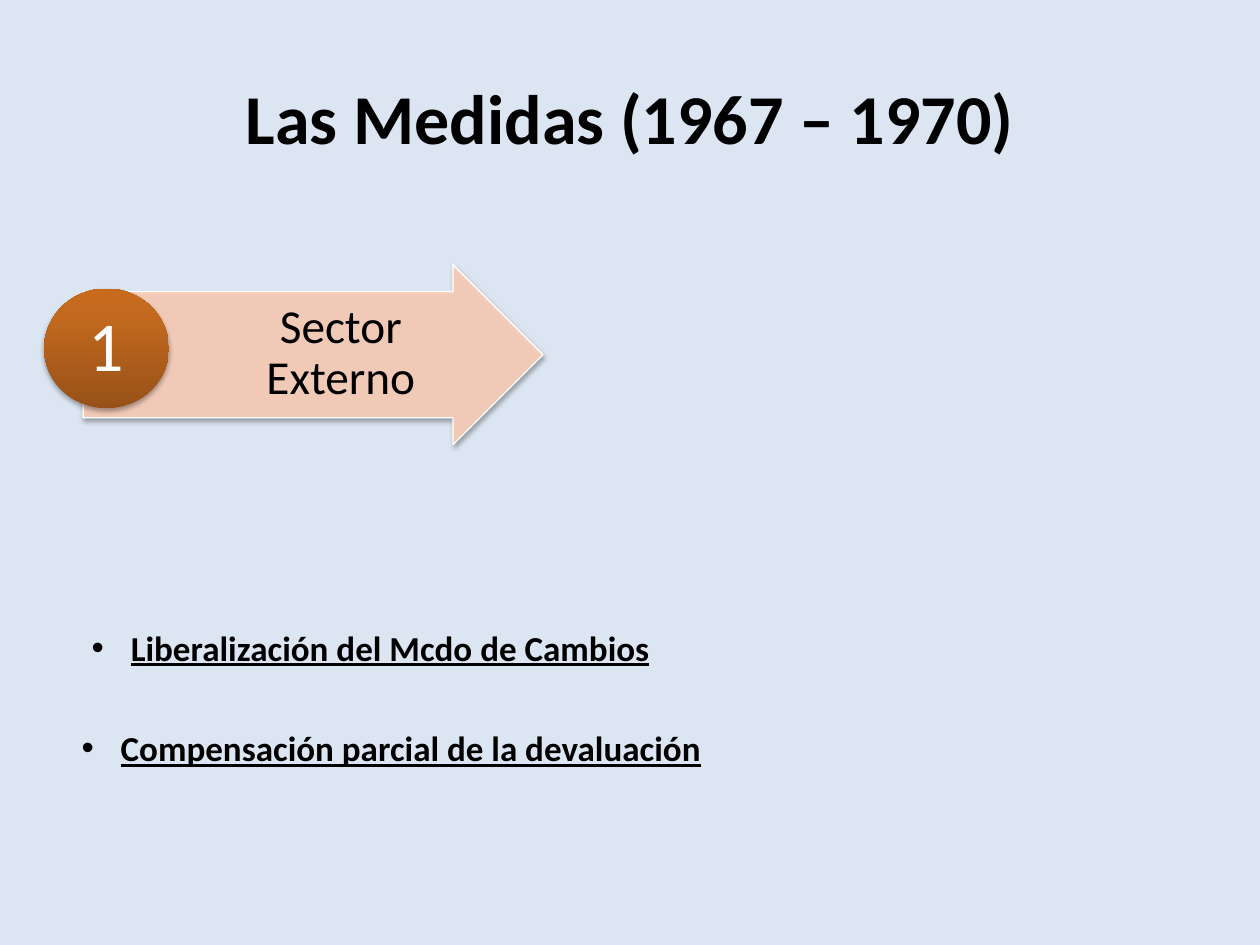
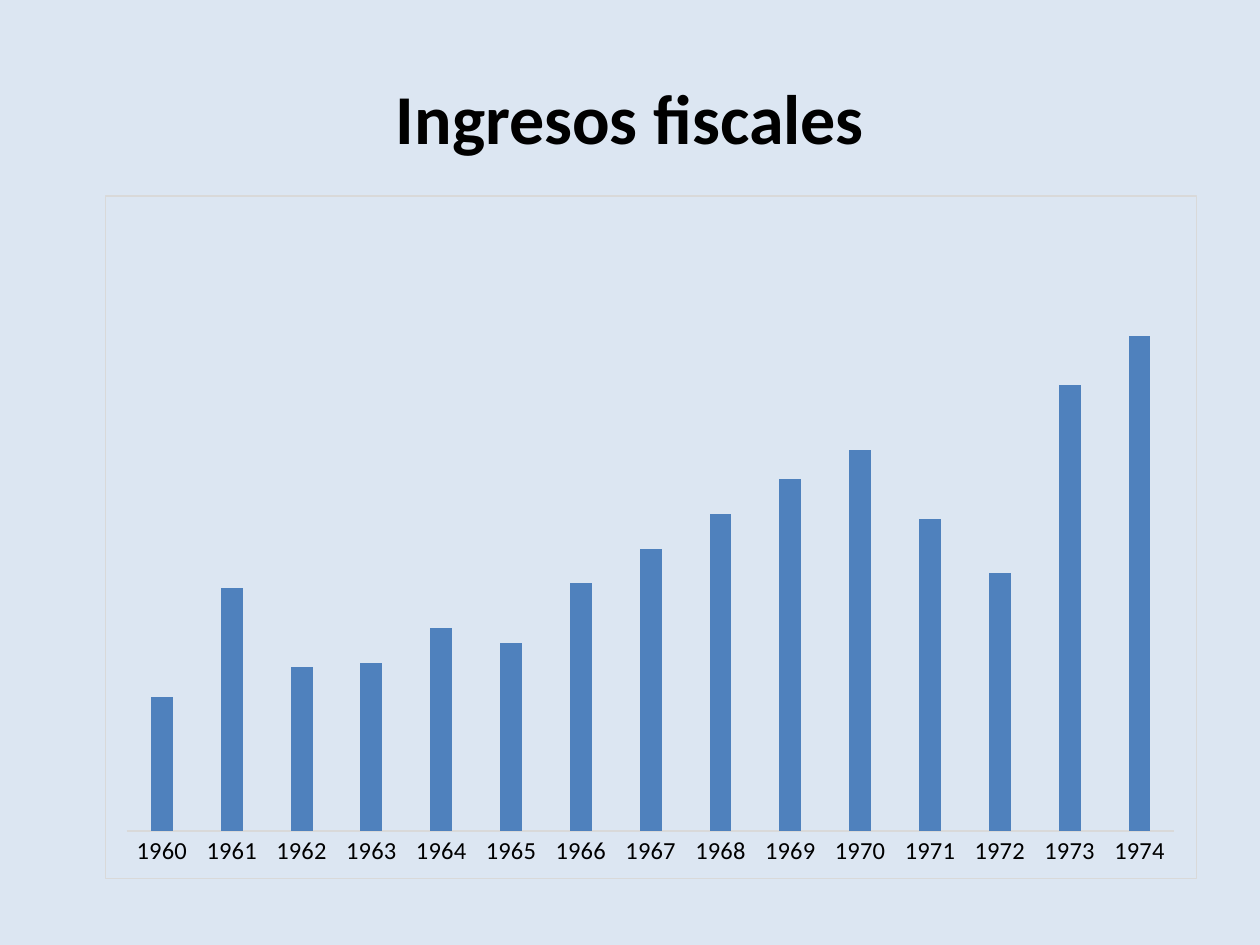
from dataclasses import dataclass

from pptx import Presentation
from pptx.chart.data import CategoryChartData
from pptx.dml.color import RGBColor
from pptx.enum.chart import XL_CHART_TYPE, XL_TICK_MARK
from pptx.enum.shapes import MSO_SHAPE
from pptx.enum.text import MSO_ANCHOR, MSO_AUTO_SIZE, PP_ALIGN
from pptx.oxml import parse_xml
from pptx.oxml.ns import nsdecls, qn
from pptx.util import Inches, Pt

ARROW = MSO_SHAPE.RIGHT_ARROW
OVAL = MSO_SHAPE.OVAL
MIDDLE = MSO_ANCHOR.MIDDLE
CENTER = PP_ALIGN.CENTER
GROW = MSO_AUTO_SIZE.SHAPE_TO_FIT_TEXT
COLUMN = XL_CHART_TYPE.COLUMN_CLUSTERED
NO_TICK = XL_TICK_MARK.NONE


@dataclass(frozen=True)
class Theme:
    font: str = "Calibri"
    back: str = "DCE6F2"
    ink: str = "000000"
    white: str = "FFFFFF"
    peach: str = "FBCEB9"
    bar: str = "4F81BD"
    rule: str = "D9D9D9"
    rust: tuple = ((0, "975118"), (80, "C46A1F"), (100, "C86A1C"))
    big: int = 40
    label: int = 27
    body: int = 20
    axis: int = 14
    thin: float = 0.75


def color(code):
    return RGBColor.from_string(code)


def box(*sides):
    return [Inches(side) for side in sides]


class Deck:
    def __init__(self, theme):
        self.theme = theme
        self.prs = Presentation()
        self.prs.slide_width, self.prs.slide_height = box(10, 7.5)
        fill = self.prs.slide_master.background.fill
        fill.solid()
        fill.fore_color.rgb = color(theme.back)
        self.slide = None

    def style(self, font, size, tint, **flags):
        font.name = self.theme.font
        font.size = Pt(size)
        font.color.rgb = color(tint)
        for flag, state in flags.items():
            setattr(font, flag, state)

    def stroke(self, line, tint):
        line.color.rgb = color(tint)
        line.width = Pt(self.theme.thin)

    def page(self, title):
        self.slide = self.prs.slides.add_slide(self.prs.slide_layouts[5])
        head = self.slide.shapes.title
        head.left, head.top, head.width, head.height = box(0.5, 0.3, 9, 1.25)
        frame = head.text_frame
        frame.text = title
        frame.vertical_anchor = MIDDLE
        para = frame.paragraphs[0]
        para.alignment = CENTER
        self.style(para.runs[0].font, self.theme.big, self.theme.ink, bold=True)

    def group(self):
        return self.slide.shapes.add_group_shape()

    def shade(self, shape):
        shape.shadow.inherit = False
        effects = shape._element.spPr.find(qn("a:effectLst"))
        effects.append(parse_xml(
            f'<a:outerShdw {nsdecls("a")} blurRad="{Pt(3.1)}" dist="{Pt(1.8)}" '
            'dir="5400000" rotWithShape="0"><a:srgbClr val="000000">'
            '<a:alpha val="35000"/></a:srgbClr></a:outerShdw>'))

    def arrow(self, group, *place):
        shape = group.shapes.add_shape(ARROW, *box(*place))
        shape.adjustments[0] = 0.7
        shape.adjustments[1] = 0.5
        shape.fill.solid()
        shape.fill.fore_color.rgb = color(self.theme.peach)
        tint = shape._element.spPr.find(qn("a:solidFill"))[0]
        tint.append(parse_xml(f'<a:alpha {nsdecls("a")} val="90000"/>'))
        self.stroke(shape.line, self.theme.white)
        self.shade(shape)

    def disc(self, group, *place):
        shape = group.shapes.add_shape(OVAL, *box(*place))
        shape.fill.gradient()
        shape.fill.gradient_angle = 90
        stops = shape._element.spPr.find(qn("a:gradFill")).find(qn("a:gsLst"))
        for stop in list(stops):
            stops.remove(stop)
        for spot, tint in self.theme.rust:
            stops.append(parse_xml(
                f'<a:gs {nsdecls("a")} pos="{spot * 1000}">'
                f'<a:srgbClr val="{tint}"/></a:gs>'))
        shape.line.fill.background()
        self.shade(shape)

    def label(self, group, text, place, pads, size, tint):
        frame = group.shapes.add_textbox(*box(*place)).text_frame
        frame.word_wrap = True
        frame.vertical_anchor = MIDDLE
        (frame.margin_left, frame.margin_top,
         frame.margin_right, frame.margin_bottom) = box(*pads)
        frame.text = text
        para = frame.paragraphs[0]
        para.alignment = CENTER
        para.line_spacing = 0.9
        self.style(para.runs[0].font, size, tint)

    def bullet(self, text, left, top):
        frame = self.slide.shapes.add_textbox(*box(left, top, 8.74, 0.44)).text_frame
        frame.word_wrap = True
        frame.auto_size = GROW
        frame.text = text
        para = frame.paragraphs[0]
        props = para._p.get_or_add_pPr()
        props.set("marL", str(Inches(0.31)))
        props.set("indent", str(-Inches(0.31)))
        props.append(parse_xml(f'<a:buFont {nsdecls("a")} typeface="Arial"/>'))
        props.append(parse_xml(f'<a:buChar {nsdecls("a")} char="•"/>'))
        self.style(para.runs[0].font, self.theme.body, self.theme.ink,
                   bold=True, underline=True)

    def chart(self, years, sums, *place):
        data = CategoryChartData()
        data.categories = years
        data.add_series("Series 1", sums)
        chart = self.slide.shapes.add_chart(COLUMN, *box(*place), data).chart
        chart.has_title = False
        chart.has_legend = False
        self.style(chart.font, self.theme.axis, self.theme.ink)
        plot = chart.plots[0]
        plot.gap_width = 219
        plot.overlap = -27
        plot.vary_by_categories = False
        fill = plot.series[0].format.fill
        fill.solid()
        fill.fore_color.rgb = color(self.theme.bar)
        base = chart.category_axis
        base.major_tick_mark = base.minor_tick_mark = NO_TICK
        self.stroke(base.format.line, self.theme.rule)
        scale = chart.value_axis
        scale.minimum_scale = 0
        scale.maximum_scale = 120
        scale.has_major_gridlines = False
        scale.tick_labels.number_format = '_ * #.##0_ ;_ * \\-#.##0_ ;_ * "-"_ ;_ @_'
        scale.tick_labels.number_format_is_linked = False
        scale.visible = False
        self.border(chart)
        self.layout(chart, x=0.02, y=0.06, w=0.96, h=0.87)

    def border(self, chart):
        chart.element.find(qn("c:chart")).addnext(parse_xml(
            f'<c:spPr {nsdecls("c", "a")}><a:noFill/>'
            f'<a:ln w="{Pt(self.theme.thin)}"><a:solidFill>'
            f'<a:srgbClr val="{self.theme.rule}"/></a:solidFill></a:ln></c:spPr>'))

    def layout(self, chart, **sides):
        area = chart.element.find(qn("c:chart")).find(qn("c:plotArea"))
        for old in area.findall(qn("c:layout")):
            area.remove(old)
        spots = "".join(f'<c:{key} val="{size}"/>' for key, size in sides.items())
        area.insert(0, parse_xml(
            f'<c:layout {nsdecls("c")}><c:manualLayout>'
            '<c:layoutTarget val="inner"/><c:xMode val="edge"/>'
            f'<c:yMode val="edge"/>{spots}</c:manualLayout></c:layout>'))


def main():
    theme = Theme()
    deck = Deck(theme)

    deck.page("Las Medidas (1967 – 1970)")
    sector = deck.group()
    deck.arrow(sector, 0.66, 2.1, 3.65, 1.43)
    deck.label(sector, "Sector Externo", (1.57, 2.31, 2.24, 1),
               (0.07, 0.02, 0.04, 0.02), theme.label, theme.ink)
    deck.disc(sector, 0.35, 2.29, 0.99, 0.95)
    deck.label(sector, "1", (0.49, 2.43, 0.7, 0.67),
               (0.03, 0.03, 0.03, 0.03), theme.big, theme.white)
    deck.bullet("Liberalización del Mcdo de Cambios", 0.63, 4.92)
    deck.bullet("Compensación parcial de la devaluación", 0.55, 5.72)

    deck.page("Ingresos fiscales")
    years = [str(year) for year in range(1960, 1975)]
    sums = (27, 49, 33, 34, 41, 38, 50, 57, 64, 71, 77, 63, 52, 90, 100)
    deck.chart(years, sums, 0.83, 1.55, 8.67, 5.43)

    deck.prs.save("out.pptx")


if __name__ == "__main__":
    main()
